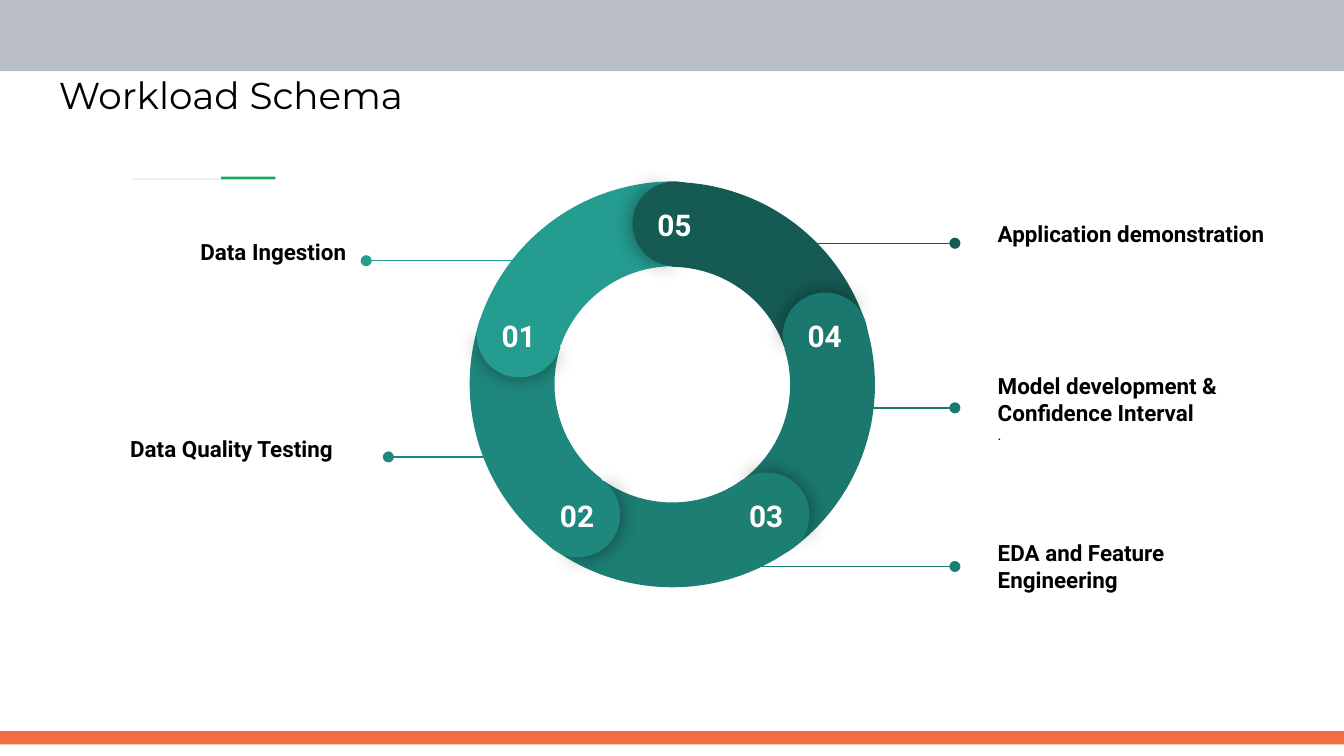
import math

from lxml import etree
from pptx import Presentation
from pptx import util as u
from pptx.dml.color import RGBColor
from pptx.enum import shapes, text
from pptx.oxml import parse_xml
from pptx.oxml.ns import nsdecls, qn

COLS, ROWS = 100, 56.25  # grid cells of a tenth of an inch
CELL = u.Inches(0.1)

COLORS = {
    "band": "BABEC7", "footer": "F36D43", "accent": "14A961", "rule": "E0E0E0",
    "ink": "000000", "white": "FFFFFF",
    "01": "249C90", "02": "1F887E", "03": "1D7E74", "04": "1B786E", "05": "155B54",
}

# step: (cap angle clockwise from the top, arc rotation, arc nudge in cells)
STEPS = {
    "05": (1, 60, (-0.05, 0.1)),
    "04": (72, 132, (-0.1, 0)),
    "03": (144, 204, (0, -0.1)),
    "02": (216, 277, (0.1, -0.05)),
    "01": (288, 350, (0.05, 0.05)),
}
STACK = ["arc 02", "arc 04", "arc 05", "cap 04", "arc 03", "cap 02",
         "arc 01", "cap 05", "cap 03", "cap 01"]
ARC = (126.03, 168.68, 0.208)
CAP_BACK, CAP_FRONT = (61.9, 149.96), (40.28, 171.84)

# step, line start, dot, row of the line, label box, label lines
CALLOUTS = [
    ("01", 40.7, 27.25, 19.4, (3.55, 13.75, 23.2, 10), ["Data Ingestion"]),
    ("02", 39.1, 28.9, 34, (2.55, 28.35, 23.2, 10), ["Data Quality Testing"]),
    ("03", 50.9, 71.05, 42.15, (73.25, 37.1, 23.2, 10.1),
     ["EDA and Feature Engineering"]),
    ("05", 57, 71.05, 18.1, (73.25, 12.35, 23.2, 10), ["Application demonstration"]),
    ("04", 61.4, 71.05, 30.35, (73.25, 25.3, 23.2, 10.1),
     ["Model development & Confidence Interval", "."]),
]


def cells(*values):
    return [u.Emu(round(v * CELL)) for v in values]


def rgb(name):
    return RGBColor.from_string(COLORS[name])


def add_shape(s, kind, box, color, adj=(), turn=0):
    sp = s.shapes.add_shape(kind, *cells(*box))
    sp.shadow.inherit = False
    sp.fill.solid()
    sp.fill.fore_color.rgb = rgb(color)
    sp.line.fill.background()
    for i, value in enumerate(adj):
        sp.adjustments[i] = value
    sp.rotation = turn % 360
    return sp


def add_text(s, box, lines, color="ink", align="LEFT", anchor="MIDDLE", inset=1):
    """Write lines of (words, font values), one paragraph each."""
    tf = s.shapes.add_textbox(*cells(*box)).text_frame
    frame = {"word_wrap": True, "vertical_anchor": text.MSO_ANCHOR[anchor],
             "margin_top": cells(inset)[0], "margin_bottom": cells(inset)[0]}
    for key, value in frame.items():
        setattr(tf, key, value)
    for i, (words, font) in enumerate(lines):
        p = tf.add_paragraph() if i else tf.paragraphs[0]
        p.alignment = text.PP_ALIGN[align]
        r = p.add_run()
        r.text = words
        for key, value in font.items():
            setattr(r.font, key, value)
        r.font.color.rgb = rgb(color)


def roboto(size, bold=True):
    return {"name": "Roboto", "size": u.Pt(size), "bold": bold}


def add_glow(sp):
    """Give the shape a soft shadow on all sides."""
    effects = sp._element.spPr.find(qn("a:effectLst"))
    effects.append(parse_xml(
        f'<a:outerShdw {nsdecls("a")} blurRad="{u.Pt(11.2)}" dist="0" algn="ctr" '
        'rotWithShape="0"><a:srgbClr val="000000"><a:alpha val="43000"/>'
        '</a:srgbClr></a:outerShdw>'))


def draw_frame(s, box):
    x, y, w, h = box
    rect = shapes.MSO_SHAPE.RECTANGLE
    add_shape(s, rect, (x, y, w, 5.3), "band")
    add_shape(s, rect, (x + 9.9, y + 13.3, 6.5, 0.08), "rule")
    add_shape(s, rect, (x + 16.45, y + 13.15, 4.05, 0.2), "accent")
    add_shape(s, rect, (x, y + h - 1.85, w, 1), "footer")
    title = {"name": "Montserrat", "size": u.Pt(20)}
    add_text(s, (x + 3.4, y + 4.9, w - 6.8, 6.3), [("Workload Schema", title)],
             anchor="TOP", inset=0.5)


def draw_callout(s, step, start, dot, row, box, words):
    line = s.shapes.add_connector(shapes.MSO_CONNECTOR.STRAIGHT,
                                  *cells(start, row, dot, row))
    line.line.color.rgb = rgb(step)
    line.line.width = u.Pt(0.75)
    etree.SubElement(line.line._get_or_add_ln(), qn("a:tailEnd"), type="oval")
    etree.SubElement(line._element.spPr, qn("a:effectLst"))
    fonts = [roboto(12), roboto(8, False)]
    add_text(s, box, list(zip(words, fonts)), align="RIGHT" if dot < start else "LEFT")


def draw_ring(s, box):
    """Overlapping arcs, each with a numbered round cap at its head."""
    x, y, size, _ = box
    cap = size * 0.208
    reach = (size - cap) / 2 - 0.05

    def cap_center(step):
        angle = math.radians(STEPS[step][0])
        return (x + size / 2 + reach * math.sin(angle),
                y + size / 2 - reach * math.cos(angle))

    for item in STACK:
        part, step = item.split()
        angle, turn, (dx, dy) = STEPS[step]
        if part == "arc":
            add_shape(s, shapes.MSO_SHAPE.BLOCK_ARC, (x + dx, y + dy, size, size),
                      step, ARC, turn)
            continue
        cx, cy = cap_center(step)
        place = (cx - cap / 2, cy - cap / 2, cap, cap)
        pie = shapes.MSO_SHAPE.PIE
        add_glow(add_shape(s, pie, place, step, CAP_BACK, angle - 4.5))
        add_shape(s, pie, place, step, CAP_FRONT, angle + 174.8)

    for step in STEPS:
        cx, cy = cap_center(step)
        add_text(s, (cx - 2.85, cy - 2.25, 5.6, 4.6), [(step, roboto(16))],
                 "white", "CENTER")


def main():
    prs = Presentation()
    prs.slide_width, prs.slide_height = cells(COLS, ROWS)
    s = prs.slides.add_slide(prs.slide_layouts[6])
    draw_frame(s, (0, 0, COLS, ROWS))
    for callout in CALLOUTS:
        draw_callout(s, *callout)
    draw_ring(s, (34.85, 13.45, 30.35, 30.35))
    prs.save("out.pptx")


if __name__ == "__main__":
    main()
